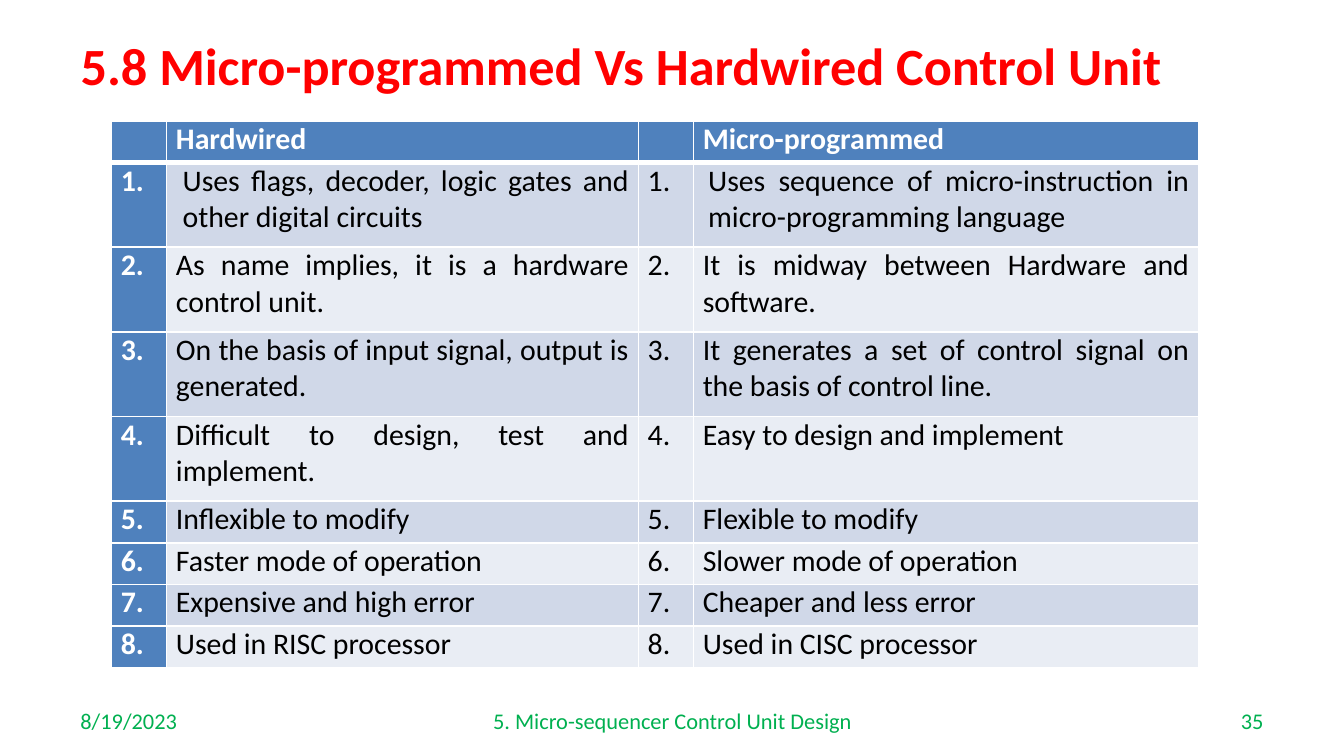
from lxml import etree
from pptx import Presentation
from pptx import util as u
from pptx.dml.color import RGBColor
from pptx.enum import text
from pptx.oxml import ns

COLORS = {
    "title": "FF0000",
    "footer": "00B050",
    "header": "4F81BD",
    "odd": "D0D8E8",
    "even": "E9EDF4",
    "light": "FFFFFF",
    "dark": "000000",
}
FONT = "Calibri"
ALIGN = text.PP_ALIGN

SLIDE_WIDTH = 10
SLIDE_HEIGHT = SLIDE_WIDTH * 9 / 16

COLUMN_WIDTHS = [0.41, 3.51, 0.41, 3.76]
SINGLE_ROW, DOUBLE_ROW = 0.31, 0.63
DOUBLE_ROWS = range(1, 5)
FIRST_ROW_INDENTS = {1: 0.05, 3: 0.04}

HEADINGS = ("Hardwired", "Micro-programmed")
COMPARISONS = [
    ("Uses flags, decoder, logic gates and other digital circuits",
     "Uses sequence of micro-instruction in micro-programming language"),
    ("As name implies, it is a hardware control unit.",
     "It is midway between Hardware and software."),
    ("On the basis of input signal, output is generated.",
     "It generates a set of control signal on the basis of control line."),
    ("Difficult to design, test and implement.",
     "Easy to design and implement"),
    ("Inflexible to modify", "Flexible to modify"),
    ("Faster mode of operation", "Slower mode of operation"),
    ("Expensive and high error", "Cheaper and less error"),
    ("Used in RISC processor", "Used in CISC processor"),
]

# Left, width, alignment and wording of each footer part
FOOTERS = [
    (0.5, 2.33, ALIGN.LEFT, "8/19/2023"),
    (7.17, 2.33, ALIGN.RIGHT, "35"),
    (3.42, 3.17, ALIGN.CENTER, "5. Micro-sequencer Control Unit Design"),
]


def set_attributes(target, values):
    for name, value in values.items():
        setattr(target, name, value)


def write_text(frame, wording, size, color, alignment, bold=False):
    paragraph = frame.paragraphs[0]
    paragraph.alignment = alignment
    if wording:
        run = paragraph.add_run()
        run.text = wording
        set_attributes(run.font, {"name": FONT, "size": u.Pt(size), "bold": bold})
        run.font.color.rgb = RGBColor.from_string(COLORS[color])
    return paragraph


def add_title(slide):
    shape = slide.shapes.title
    set_attributes(shape, {
        "left": u.Inches(0.5), "top": u.Inches(0.23),
        "width": u.Inches(9), "height": u.Inches(0.5),
    })
    set_attributes(shape.text_frame, {
        "word_wrap": True,
        "auto_size": text.MSO_AUTO_SIZE.NONE,
        "vertical_anchor": text.MSO_ANCHOR.MIDDLE,
    })
    write_text(shape.text_frame, "5.8 Micro-programmed Vs Hardwired Control Unit",
               28, "title", ALIGN.LEFT, bold=True)


def add_footer(slide, left, width, alignment, wording):
    shape = slide.shapes.add_textbox(
        u.Inches(left), u.Inches(5.21), u.Inches(width), u.Inches(0.3))
    set_attributes(shape.text_frame, {
        "word_wrap": True, "vertical_anchor": text.MSO_ANCHOR.MIDDLE})
    write_text(shape.text_frame, wording, 12, "footer", alignment)


def add_borders(cell, widths):
    properties = cell._tc.get_or_add_tcPr()
    for side, width in widths.items():
        line = etree.SubElement(properties, ns.qn(f"a:ln{side}"), w=str(u.Pt(width)))
        fill = etree.SubElement(line, ns.qn("a:solidFill"))
        etree.SubElement(fill, ns.qn("a:srgbClr"), val=COLORS["light"])


def format_cell(cell, row, column, wording):
    emphasized = row == 0 or column == 0
    set_attributes(cell, {
        "margin_left": u.Inches(0.07), "margin_right": u.Inches(0.07),
        "margin_top": 0, "margin_bottom": 0,
    })
    # The rule under the heading row is heavier
    add_borders(cell, {"L": 1, "R": 1, "T": 3 if row == 1 else 1,
                       "B": 3 if row == 0 else 1})
    band = "odd" if row % 2 else "even"
    cell.fill.solid()
    cell.fill.fore_color.rgb = RGBColor.from_string(
        COLORS["header" if emphasized else band])
    paragraph = write_text(cell.text_frame, wording, 16,
                           "light" if emphasized else "dark",
                           ALIGN.JUSTIFY, bold=emphasized)
    if row == 1 and column in FIRST_ROW_INDENTS:
        indent = u.Inches(FIRST_ROW_INDENTS[column])
        paragraph._p.get_or_add_pPr().set("marL", str(indent))


def add_comparison_table(slide):
    rows = [("", HEADINGS[0], "", HEADINGS[1])]
    for number, (hardwired, programmed) in enumerate(COMPARISONS, 1):
        rows.append((f"{number}.", hardwired, f"{number}.", programmed))
    heights = [DOUBLE_ROW if row in DOUBLE_ROWS else SINGLE_ROW
               for row in range(len(rows))]
    table = slide.shapes.add_table(
        len(rows), len(COLUMN_WIDTHS), u.Inches(0.83), u.Inches(0.9),
        u.Inches(sum(COLUMN_WIDTHS)), u.Inches(sum(heights))).table
    for column, width in zip(table.columns, COLUMN_WIDTHS):
        column.width = u.Inches(width)
    for row, (height, wordings) in enumerate(zip(heights, rows)):
        table.rows[row].height = u.Inches(height)
        for column, wording in enumerate(wordings):
            format_cell(table.cell(row, column), row, column, wording)


def main():
    presentation = Presentation()
    set_attributes(presentation, {
        "slide_width": u.Inches(SLIDE_WIDTH),
        "slide_height": u.Inches(SLIDE_HEIGHT),
    })
    slide = presentation.slides.add_slide(presentation.slide_layouts[5])

    # Title, footer line and table
    add_title(slide)
    for footer in FOOTERS:
        add_footer(slide, *footer)
    add_comparison_table(slide)

    presentation.save("out.pptx")


if __name__ == "__main__":
    main()
